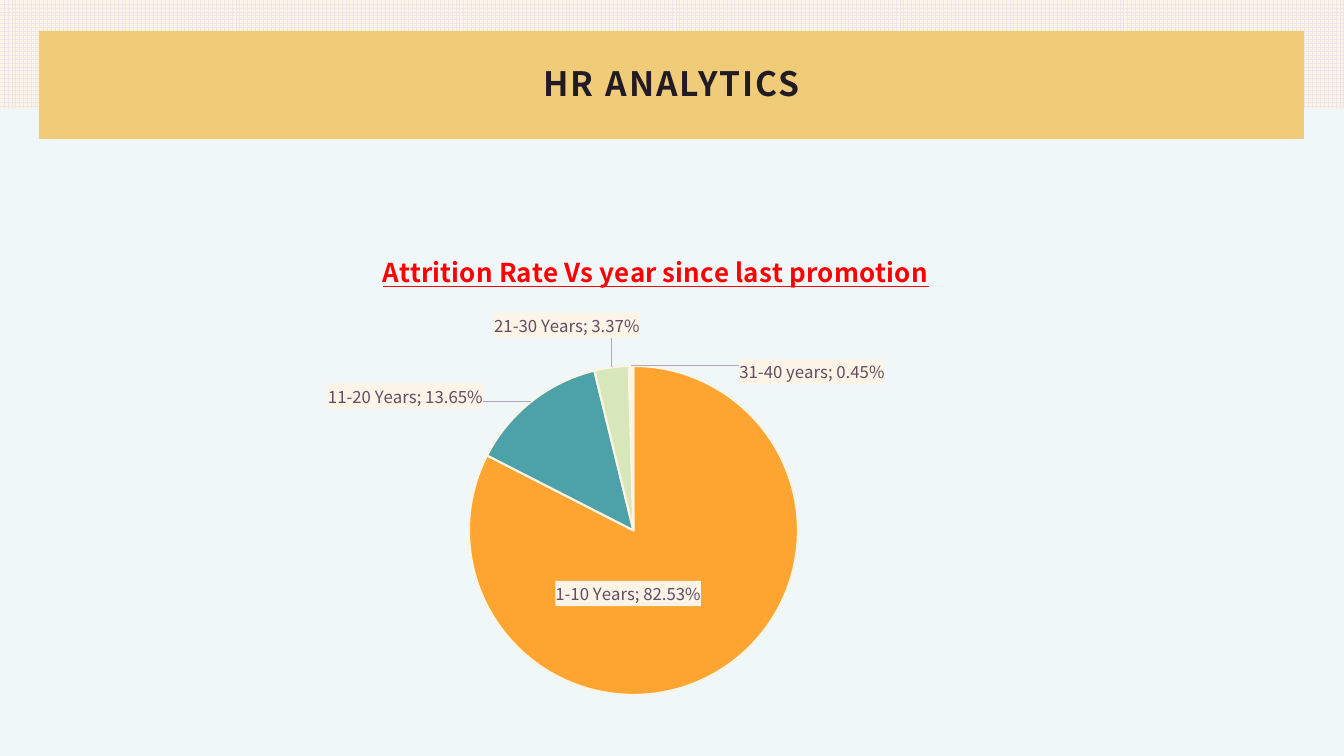
from lxml import etree
from pptx import Presentation
from pptx.chart import data as chart_data
from pptx.dml import color
from pptx.enum import chart as chart_enum, dml, shapes, text
from pptx.oxml import ns
from pptx.util import Pt

PX = 9071  # EMU in one px, at 100.8 px to the inch
FONT = "Noto Sans CJK JP"
COLORS = {
    "background": "F0F7F8", "grid": "EBE6EB", "cream": "FCF5E5", "banner": "F0CC79",
    "dark": "231B23", "red": "FF0000", "label": "624C62", "label_fill": "FDF4E8",
    "leader": "B9A5B9", "orange": "FDA431", "teal": "4DA1A8", "green": "D7E7BA",
}
TITLE = "HR ANALYTICS"
CHART_TITLE = "Attrition Rate Vs year since last promotion"
SERIES = "Series 1"
STRIP = (0, 0, 1344, 109)
BANNER = (39, 31, 1265, 108)
TITLE_BOX = (70, 53, 1203, 65)
CHART = (216, 227, 882, 571)
PIE = (253, 139, 329, 329)  # within the chart
CHART_TITLE_AT = (162, 17)  # within the chart
# category, value, colour, label shift in px from its place outside the slice
SLICES = [
    ("1-10 Years", 0.8253, "orange", (-167, -95)),
    ("11-20 Years", 0.1365, "teal", (-45, 12)),
    ("21-30 Years", 0.0337, "green", (29, -24)),
    ("31-40 years", 0.0045, "cream", (181, 24)),
]


def emu(box):
    return [length * PX for length in box]


def rgb(name):
    return color.RGBColor.from_string(COLORS[name])


def style(font, size, color_name, bold=False):
    font.name, font.size, font.bold = FONT, Pt(size), bold
    font.color.rgb = rgb(color_name)


def element(tag, **attributes):
    node = etree.Element(ns.qn(tag))
    for name, value in attributes.items():
        node.set(name, str(value))
    return node


def layout(box, **modes):
    """Manual chart layout from px lengths, as shares of the chart's size."""
    node = element("c:layout")
    manual = element("c:manualLayout")
    node.append(manual)
    for name, value in modes.items():
        manual.append(element("c:" + name, val=value))
    for name, length, whole in zip("xywh", box, CHART[2:] * 2):
        manual.append(element("c:" + name, val=round(length / whole, 4)))
    return node


def replace_layout(parent, node, index):
    for old in parent.findall(ns.qn("c:layout")):
        parent.remove(old)
    parent.insert(index, node)


def solid(name):
    fill = element("a:solidFill")
    fill.append(element("a:srgbClr", val=COLORS[name]))
    return fill


def add_rectangle(slide, box):
    shape = slide.shapes.add_shape(shapes.MSO_SHAPE.RECTANGLE, *emu(box))
    shape.shadow.inherit = False
    shape.line.fill.background()
    return shape


def add_header(slide):
    strip = add_rectangle(slide, STRIP)
    strip.fill.patterned()
    strip.fill.pattern = dml.MSO_PATTERN.LARGE_GRID
    strip.fill.fore_color.rgb = rgb("grid")
    strip.fill.back_color.rgb = rgb("cream")
    banner = add_rectangle(slide, BANNER)
    banner.fill.solid()
    banner.fill.fore_color.rgb = rgb("banner")

    frame = slide.shapes.add_textbox(*emu(TITLE_BOX)).text_frame
    frame.word_wrap = True
    frame.vertical_anchor = text.MSO_ANCHOR.MIDDLE
    frame.text = TITLE
    paragraph = frame.paragraphs[0]
    paragraph.alignment = text.PP_ALIGN.CENTER
    paragraph.line_spacing = 0.9
    run = paragraph.runs[0]
    style(run.font, 24, "dark", bold=True)
    run.font._element.set("spc", "150")


def format_label(label, shift):
    style(label.font, 12, "label")
    label.position = chart_enum.XL_LABEL_POSITION.OUTSIDE_END
    node = label._get_or_add_dLbl()
    replace_layout(node, layout(shift), 1)
    number_format = element("c:numFmt", formatCode="0.00%", sourceLinked=0)
    box = element("c:spPr")
    box.append(solid("label_fill"))
    for old in node.findall(ns.qn("c:spPr")):
        node.remove(old)
    node.find(ns.qn("c:txPr")).addprevious(number_format)
    number_format.addnext(box)
    node.find(ns.qn("c:showCatName")).set("val", "1")
    node.find(ns.qn("c:showPercent")).set("val", "0")
    separator = element("c:separator")
    separator.text = "; "
    node.append(separator)


def add_leader_lines(labels):
    node = labels._element
    show = node.find(ns.qn("c:showLeaderLines"))
    if show is None:
        show = element("c:showLeaderLines")
        node.append(show)
    show.set("val", "1")
    leaders, properties, line = element("c:leaderLines"), element("c:spPr"), element("a:ln", w=9525)
    line.append(solid("leader"))
    properties.append(line)
    leaders.append(properties)
    show.addnext(leaders)


def add_pie(slide):
    values = chart_data.CategoryChartData(number_format="0.00%")
    values.categories = [entry[0] for entry in SLICES]
    values.add_series(SERIES, [entry[1] for entry in SLICES])
    chart = slide.shapes.add_chart(chart_enum.XL_CHART_TYPE.PIE, *emu(CHART), values).chart
    style(chart.font, 10, "dark")
    chart.has_legend = False

    chart.has_title = True
    title = chart.chart_title
    title.text_frame.text = CHART_TITLE
    font = title.text_frame.paragraphs[0].runs[0].font
    style(font, 18.5, "red", bold=True)
    font.underline = True
    replace_layout(title._element, layout(CHART_TITLE_AT, xMode="edge", yMode="edge"), 1)

    plot = chart.plots[0]
    plot.vary_by_categories = True
    replace_layout(plot._element.getparent(),
                   layout(PIE, layoutTarget="inner", xMode="edge", yMode="edge"), 0)
    series = plot.series[0]
    labels = series.data_labels
    labels.show_value = labels.show_category_name = True
    labels.number_format, labels.number_format_is_linked = "0.00%", False
    style(labels.font, 12, "label")
    add_leader_lines(labels)
    for index, (_, _, color_name, shift) in enumerate(SLICES):
        point = series.points[index]
        point.format.fill.solid()
        point.format.fill.fore_color.rgb = rgb(color_name)
        point.format.line.color.rgb = rgb("cream")
        point.format.line.width = Pt(1.5)
        format_label(point.data_label, shift)


def main():
    presentation = Presentation()
    presentation.slide_width, presentation.slide_height = emu((1344, 756))
    slide = presentation.slides.add_slide(presentation.slide_layouts[6])
    slide.background.fill.solid()
    slide.background.fill.fore_color.rgb = rgb("background")
    add_header(slide)
    add_pie(slide)
    presentation.save("out.pptx")


if __name__ == "__main__":
    main()
